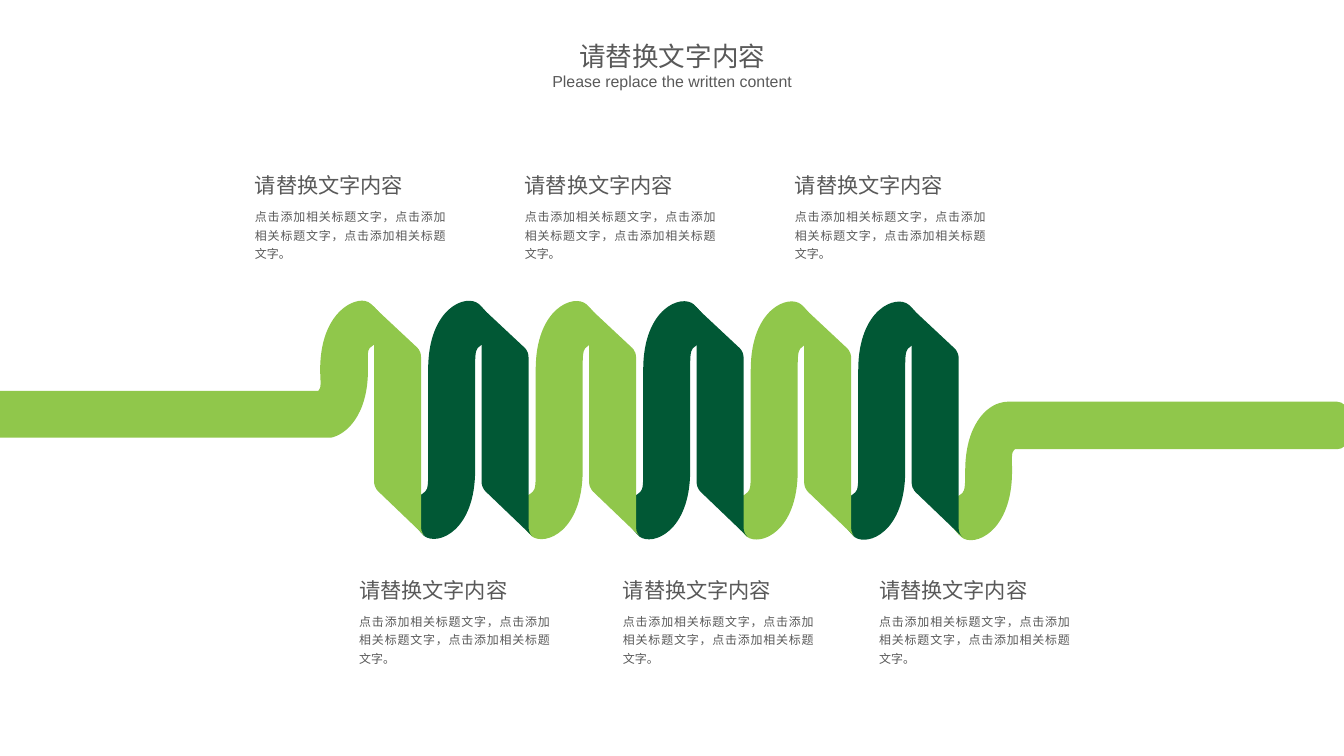
from lxml import etree
from pptx import Presentation
from pptx.dml.color import RGBColor
from pptx.enum.text import MSO_ANCHOR, MSO_AUTO_SIZE, PP_ALIGN
from pptx.oxml.ns import qn
from pptx.util import Pt

LEFT, CENTER, JUSTIFY = PP_ALIGN.LEFT, PP_ALIGN.CENTER, PP_ALIGN.JUSTIFY
TOP = MSO_ANCHOR.TOP
NO_AUTOSIZE = MSO_AUTO_SIZE.NONE

LIGHT_GREEN = RGBColor(0x90, 0xC7, 0x4B)
DARK_GREEN = RGBColor(0x01, 0x58, 0x35)
GRAY = RGBColor(0x59, 0x59, 0x59)

TITLE_ONLY = 5
SLIDE_WIDTH, SLIDE_HEIGHT = 1012.5, 569.5
COIL_PITCH, COIL_DROP = 81, 0.15
COIL_COUNT = 5

HEADING = "请替换文字内容"
SUBTITLE = "Please replace the written content"
BODY = "点击添加相关标题文字，点击添加相关标题文字，点击添加相关标题文字。"

# Outlines in points: a pair is a straight step, six numbers are a cubic curve.
LOOP = [
    (358, 354.2), (358, 278.6),
    (358, 270, 358, 264.2, 360, 262.1),
    (366.5, 255.6, 373, 259.2, 374.4, 254.2),
    (376.6, 247.7, 366.5, 234, 360.7, 229),
    (351.4, 221, 322.6, 231.8, 322.6, 278.3),
    (322.6, 354.2),
    (322.6, 362.9, 322.6, 368.6, 320.4, 370.3),
    (313.9, 376.6, 307.4, 373.7, 306, 378),
    (303.8, 384.5, 313.9, 398.4, 319.7, 403.9),
    (329.8, 411.3, 358, 400.3, 358, 354.2),
]
DIAGONAL = [
    (398.2, 397.4), (398.2, 269.3),
    (398.2, 267.8, 398.2, 264.2, 394, 260.8),
    (360, 229),
    (360.7, 229, 362.9, 231.8, 362.9, 235.4),
    (362.9, 363.6),
    (362.9, 364.3, 362.9, 367.9, 367.2, 371.5),
    (401, 403.9),
    (400.3, 403.4, 398.2, 401, 398.2, 397.4),
]
LEFT_END = [
    (270, 226.8),
    (273.6, 226.1, 277.2, 226.8, 279.4, 229),
    (285.8, 234, 295.9, 247.7, 293.8, 254.2),
    (292.3, 259.2, 285.8, 255.6, 278.6, 262.1),
    (276.5, 264.2, 277.2, 270, 277.2, 278.6),
    (277.2, 313.2, 260.6, 327.6, 249.1, 329.8),
    (0, 329.8), (0, 294.5), (239.8, 294.5), (241.2, 292.3),
    (241.9, 289.4, 241.2, 284.4, 241.2, 278.6),
    (241.2, 244.1, 257.8, 229, 270, 226.8),
]
RIGHT_END = [
    (759.6, 302.6), (1007.3, 302.6),
    (1011.6, 302.6, 1015.9, 306.7, 1015.9, 311),
    (1015.9, 329.8),
    (1015.9, 334.8, 1011.6, 338.4, 1007.3, 338.4),
    (764.6, 338.4), (763.9, 339.1),
    (761.8, 340.6, 762.5, 346.3, 762.5, 355),
    (762.5, 401, 733.7, 412.6, 724.3, 404.6),
    (718.6, 399.6, 708.5, 385.9, 710.6, 378.7),
    (712.1, 374.4, 718.6, 377.3, 725, 371.5),
    (727.2, 369.4, 727.2, 363.6, 727.2, 355),
    (727.2, 320.4, 743, 305.3, 755.3, 303.1),
    (756.5, 302.8, 758, 302.6, 759.6, 302.6),
]


def bend_curves(shape, outline):
    """Merge the three straight steps of each curve into one cubic step."""
    segments = iter(shape.element.xpath(".//a:path/a:lnTo"))
    for step in outline[1:]:
        curve = next(segments)
        if len(step) == 6:
            curve_element = etree.Element(qn("a:cubicBezTo"))
            curve.addprevious(curve_element)
            for segment in (curve, next(segments), next(segments)):
                curve_element.append(segment[0])
                segment.getparent().remove(segment)


def write_text(shape, text, size, font="Calibri", align=LEFT, spacing=1.0, wrap=True):
    frame = shape.text_frame
    frame.word_wrap = wrap
    frame.auto_size = NO_AUTOSIZE
    frame.vertical_anchor = TOP
    frame.margin_left = frame.margin_right = Pt(7.2)
    frame.margin_top = frame.margin_bottom = Pt(3.6)
    paragraph = frame.paragraphs[0]
    paragraph.text = text
    paragraph.alignment = align
    paragraph.line_spacing = spacing
    paragraph.font.size = Pt(size)
    paragraph.font.name = font
    paragraph.font.color.rgb = GRAY


class SlideBuilder:
    def __init__(self, presentation):
        layout = presentation.slide_layouts[TITLE_ONLY]
        self.slide = presentation.slides.add_slide(layout)

    def title(self, text, left, top, width, height, **style):
        shape = self.slide.shapes.title
        shape.left, shape.top = Pt(left), Pt(top)
        shape.width, shape.height = Pt(width), Pt(height)
        write_text(shape, text, **style)

    def text(self, text, left, top, width, height, **style):
        shape = self.slide.shapes.add_textbox(Pt(left), Pt(top), Pt(width), Pt(height))
        write_text(shape, text, **style)

    def caption(self, left, top):
        self.text(HEADING, left, top, 147, 26.6, size=16)
        self.text(BODY, left, top + 25, 157.7, 49.7,
                  size=9, font="Arial", align=JUSTIFY, spacing=1.3)

    def ribbon(self, outline, color, coil=0):
        """Draw a ribbon part, moved along by a number of coils."""
        points = [
            (Pt(x + coil * COIL_PITCH), Pt(y + coil * COIL_DROP))
            for step in outline
            for x, y in zip(step[::2], step[1::2])
        ]
        builder = self.slide.shapes.build_freeform(*points[0], scale=1.0)
        builder.add_line_segments(points[1:], close=True)
        shape = builder.convert_to_shape()
        bend_curves(shape, outline)
        shape.shadow.inherit = False
        shape.fill.solid()
        shape.fill.fore_color.rgb = color
        shape.line.fill.background()


def main():
    presentation = Presentation()
    presentation.slide_width = Pt(SLIDE_WIDTH)
    presentation.slide_height = Pt(SLIDE_HEIGHT)
    builder = SlideBuilder(presentation)

    builder.title(HEADING, 428.4, 14.4, 156.2, 39.6,
                  size=20, align=CENTER, spacing=1.5, wrap=False)
    builder.text(SUBTITLE, 408.2, 43.2, 196.6, 26.6,
                 size=12, font="Arial", align=CENTER, spacing=1.5, wrap=False)

    builder.ribbon(RIGHT_END, LIGHT_GREEN)
    for coil in reversed(range(COIL_COUNT)):
        color = LIGHT_GREEN if coil % 2 else DARK_GREEN
        builder.ribbon(LOOP, color, coil)
        builder.ribbon(DIAGONAL, color, coil)
    builder.ribbon(LEFT_END, LIGHT_GREEN)
    builder.ribbon(DIAGONAL, LIGHT_GREEN, -1)

    for top, lefts in ((126, (185, 388.3, 591.8)), (431, (263.5, 462.2, 655.2))):
        for left in lefts:
            builder.caption(left, top)

    presentation.save("out.pptx")


if __name__ == "__main__":
    main()
